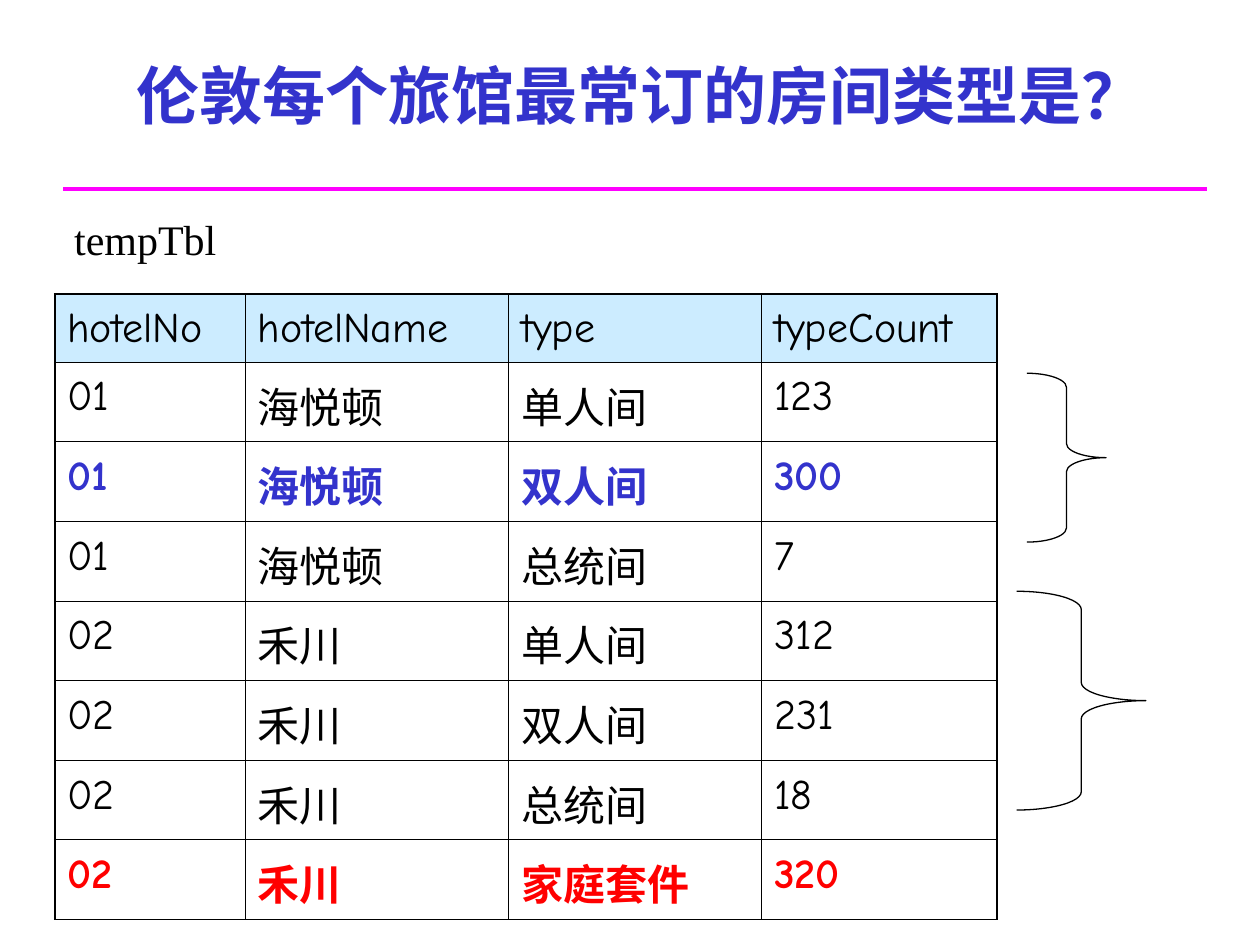
from lxml.etree import SubElement
from pptx import Presentation
from pptx.dml.color import RGBColor
from pptx.enum.shapes import MSO_CONNECTOR, MSO_SHAPE
from pptx.enum.text import MSO_ANCHOR, PP_ALIGN
from pptx.oxml.ns import qn
from pptx.util import Pt

# Content
TITLE = "伦敦每个旅馆最常订的房间类型是？"
TABLE_NAME = "tempTbl"
HEADER = ("hotelNo", "hotelName", "type", "typeCount")
ROWS = [
    ("01", "海悦顿", "单人间", "123"),
    ("01", "海悦顿", "双人间", "300"),
    ("01", "海悦顿", "总统间", "7"),
    ("02", "禾川", "单人间", "312"),
    ("02", "禾川", "双人间", "231"),
    ("02", "禾川", "总统间", "18"),
    ("02", "禾川", "家庭套件", "320"),
]
COLORS = {"text": "000000", "blue": "3333CC", "red": "FF0000",
          "rule": "FF00FF", "header": "CCECFF"}
TOP_ROWS = {2: "blue", 7: "red"}  # most booked type of each hotel

# Layout, in points
COL_WIDTHS = (108.9, 150.4, 144.6, 134.6)
HEADER_HEIGHT, ROW_HEIGHT = 38.9, 45.5
TABLE_LEFT, TABLE_TOP = 31.3, 168
BRACES = [(586.8, 213.3, 45.2, 96.5), (581, 337.9, 73.8, 125)]
THIN, THICK = 0.45, 1.08
BODY_FONT = "Comic Neue"


def rgb(name):
    return RGBColor.from_string(COLORS[name])


def style(p, size, font, color="text", bold=False):
    p.font.size, p.font.name, p.font.bold = Pt(size), font, bold
    p.font.color.rgb = rgb(color)


def add_text(s, box, text, wrap):
    tf = s.shapes.add_textbox(*map(Pt, box)).text_frame
    tf.word_wrap = wrap
    p = tf.paragraphs[0]
    p.text = text
    return tf, p


def set_borders(cell, widths):
    tcPr = cell._tc.get_or_add_tcPr()
    for i, (side, width) in enumerate(widths.items()):
        ln = tcPr.makeelement(qn(f"a:ln{side}"), {"w": str(Pt(width))})
        fill = SubElement(ln, qn("a:solidFill"))
        SubElement(fill, qn("a:srgbClr"), val=COLORS["text"])
        tcPr.insert(i, ln)


prs = Presentation()
prs.slide_width, prs.slide_height = Pt(720), Pt(540)
s = prs.slides.add_slide(prs.slide_layouts[6])

# Rule under the title
rule = s.shapes.add_connector(MSO_CONNECTOR.STRAIGHT, Pt(36), Pt(108), Pt(690), Pt(108))
rule.line.color.rgb, rule.line.width = rgb("rule"), Pt(2)
SubElement(rule._element.spPr, qn("a:effectLst"))

# Title
tf, p = add_text(s, (60, 18, 612, 72), TITLE, True)
tf.vertical_anchor = MSO_ANCHOR.MIDDLE
p.alignment = PP_ALIGN.CENTER
style(p, 36, BODY_FONT, "blue", True)

# Table
rows = [HEADER, *ROWS]
heights = [HEADER_HEIGHT] + [ROW_HEIGHT] * len(ROWS)
last_row, last_col = len(rows) - 1, len(HEADER) - 1
table = s.shapes.add_table(
    len(rows), len(HEADER), Pt(TABLE_LEFT), Pt(TABLE_TOP),
    Pt(sum(COL_WIDTHS)), Pt(sum(heights))).table
table.horz_banding = False
for column, width in zip(table.columns, COL_WIDTHS):
    column.width = Pt(width)
for r, values in enumerate(rows):
    table.rows[r].height = Pt(heights[r])
    for c, value in enumerate(values):
        cell = table.cell(r, c)
        if r == 0:
            cell.fill.solid()
            cell.fill.fore_color.rgb = rgb("header")
        else:
            cell.fill.background()
        set_borders(cell, {
            "L": THICK if c == 0 else THIN,
            "R": THICK if c == last_col else THIN,
            "T": THICK if r == 0 else THIN,
            "B": THICK if r == last_row else THIN,
        })
        p = cell.text_frame.paragraphs[0]
        p.text = value
        p.line_spacing, p.space_before = 1.1, Pt(3)
        style(p, 24, BODY_FONT, TOP_ROWS.get(r, "text"), r in TOP_ROWS)

# Braces grouping the rows of each hotel
for left, top, width, height in BRACES:
    brace = s.shapes.add_shape(MSO_SHAPE.RIGHT_BRACE, Pt(left), Pt(top), Pt(width), Pt(height))
    brace.adjustments[0] = height / 12 / width
    brace.shadow.inherit = False
    brace.fill.background()
    brace.line.color.rgb, brace.line.width = rgb("text"), Pt(0.75)

# Table name
tf, p = add_text(s, (35.3, 118.3, 95.8, 36), TABLE_NAME, False)
style(p, 24, "Times New Roman")

prs.save("out.pptx")
